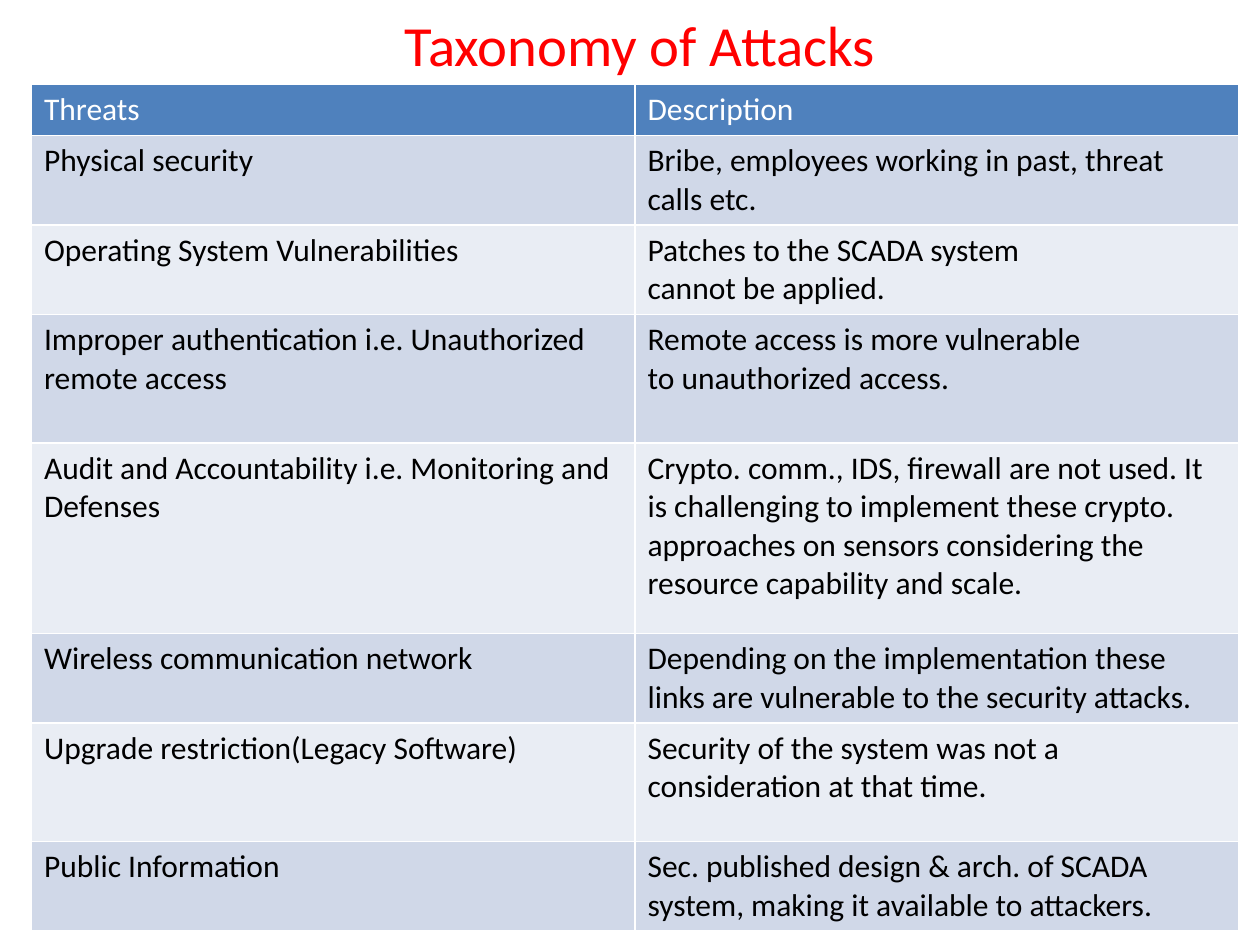
import dataclasses

import pptx
import pptx.dml.color
import pptx.enum.text
import pptx.slide
import pptx.table
import pptx.text.text
import pptx.util
from pptx.util import Inches

COLORS = {
    "title": "FF0000",
    "header": "4F81BD",
    "header_text": "FFFFFF",
    "odd_row": "D0D8E8",
    "even_row": "E9EDF4",
    "body_text": "000000",
}
FONT = "Calibri"


@dataclasses.dataclass
class ThreatRow:
    threat: str
    description: str
    height: float


ROWS = [
    ThreatRow("Threats", "Description", 0.39),
    ThreatRow("Physical security", "Bribe, employees working in past, threat calls etc.", 0.71),
    ThreatRow(
        "Operating System Vulnerabilities",
        "Patches to the SCADA system\ncannot be applied.",
        0.71,
    ),
    ThreatRow(
        "Improper authentication i.e. Unauthorized remote access",
        "Remote access is more vulnerable\nto unauthorized access.",
        1.02,
    ),
    ThreatRow(
        "Audit and Accountability i.e. Monitoring and Defenses",
        "Crypto. comm., IDS, firewall are not used. It is challenging to implement "
        "these crypto. approaches on sensors considering the resource capability and scale.",
        1.51,
    ),
    ThreatRow(
        "Wireless communication network",
        "Depending on the implementation these links are vulnerable to the security attacks.",
        0.71,
    ),
    ThreatRow(
        "Upgrade restriction(Legacy Software)",
        "Security of the system was not a consideration at that time.",
        0.94,
    ),
    ThreatRow(
        "Public Information",
        "Sec. published design & arch. of SCADA system, making it available to attackers.",
        0.71,
    ),
]


def rgb(name: str) -> pptx.dml.color.RGBColor:
    return pptx.dml.color.RGBColor.from_string(COLORS[name])


def format_runs(text_frame: pptx.text.text.TextFrame, size: float, color: str) -> None:
    for paragraph in text_frame.paragraphs:
        for run in paragraph.runs:
            run.font.name = FONT
            run.font.size = pptx.util.Pt(size)
            run.font.bold = False
            run.font.color.rgb = rgb(color)


def draw_title(slide: pptx.slide.Slide, text: str) -> None:
    title = slide.shapes.title
    title.left, title.top = Inches(0.58), Inches(0.08)
    title.width, title.height = Inches(9), Inches(0.53)
    text_frame = title.text_frame
    text_frame.text = text
    text_frame.auto_size = pptx.enum.text.MSO_AUTO_SIZE.NONE
    text_frame.vertical_anchor = pptx.enum.text.MSO_ANCHOR.MIDDLE
    text_frame.paragraphs[0].alignment = pptx.enum.text.PP_ALIGN.CENTER
    format_runs(text_frame, 32.4, "title")


def fill_cell(cell: pptx.table._Cell, text: str, fill: str, text_color: str) -> None:
    cell.fill.solid()
    cell.fill.fore_color.rgb = rgb(fill)
    cell.text_frame.text = text
    format_runs(cell.text_frame, 18, text_color)


def draw_threat_table(slide: pptx.slide.Slide, rows: list[ThreatRow]) -> None:
    total_height = sum(row.height for row in rows)
    table = slide.shapes.add_table(
        len(rows), 2, Inches(0.25), Inches(0.67), Inches(9.58), Inches(total_height)
    ).table
    for index, row in enumerate(rows):
        table.rows[index].height = Inches(row.height)
        if index == 0:
            fill, text_color = "header", "header_text"
        else:
            fill, text_color = ("odd_row" if index % 2 else "even_row"), "body_text"
        for column, text in enumerate((row.threat, row.description)):
            fill_cell(table.cell(index, column), text, fill, text_color)


def main() -> None:
    presentation = pptx.Presentation()
    presentation.slide_width = Inches(10)
    presentation.slide_height = Inches(7.5)
    slide = presentation.slides.add_slide(presentation.slide_layouts[5])
    draw_title(slide, "Taxonomy of Attacks")
    draw_threat_table(slide, ROWS)
    presentation.save("out.pptx")


if __name__ == "__main__":
    main()
